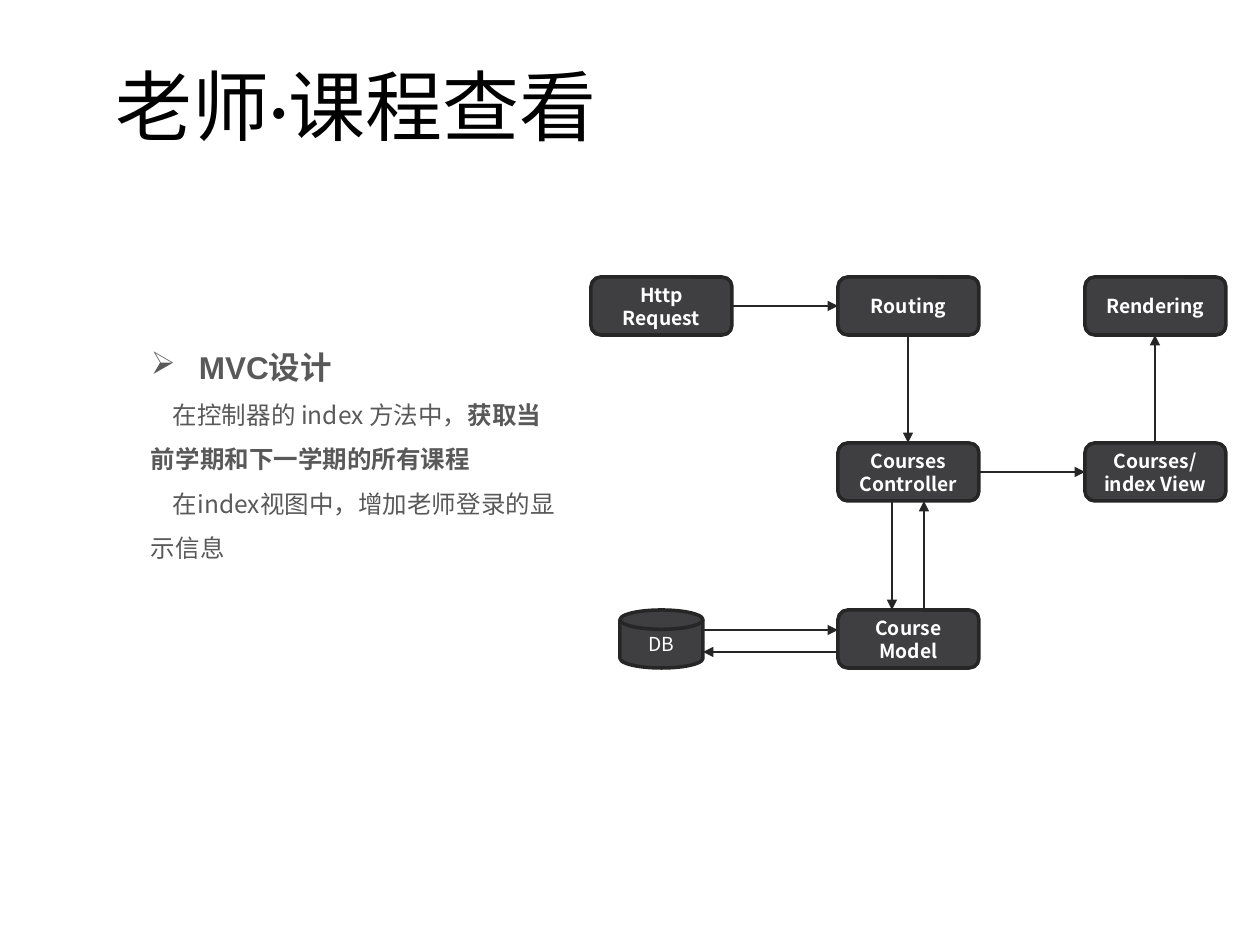
import pptx
import pptx.dml.color
import pptx.enum.shapes
import pptx.enum.text
import pptx.oxml
import pptx.oxml.ns
import pptx.util

SHAPE = pptx.enum.shapes.MSO_SHAPE
ALIGN = pptx.enum.text.PP_ALIGN
ANCHOR = pptx.enum.text.MSO_ANCHOR
CJK = "Noto Sans CJK SC"
NODE_FILL, NODE_LINE, BODY_GREY = "3F3E40", "262626", "595959"


def px(length):
    return pptx.util.Emu(round(length * 914400 / 126))


def colour(value):
    return pptx.dml.color.RGBColor.from_string(value)


def append_xml(parent, xml):
    namespaces = pptx.oxml.ns.nsdecls("a")
    parent.append(pptx.oxml.parse_xml(xml.replace("/>", f" {namespaces}/>", 1)))


def write(paragraph, text, size=11, font=CJK, color="FFFFFF", bold=False, align=None):
    if align is not None:
        paragraph.alignment = align
    run = paragraph.add_run()
    run.text = text
    run.font.size = pptx.util.Pt(size)
    run.font.bold = bold
    run.font.color.rgb = colour(color)
    run.font.name = font
    append_xml(run.font._element, f'<a:ea typeface="{CJK}"/>')


def add_title(slide, left, top, width, height):
    frame = slide.shapes.add_textbox(px(left), px(top), px(width), px(height)).text_frame
    frame.word_wrap = True
    frame.vertical_anchor = ANCHOR.MIDDLE
    write(frame.paragraphs[0], "老师·课程查看", size=44, font="Calibri",
          color="000000", align=ALIGN.CENTER)


def add_design_notes(slide, left, top, width, height):
    frame = slide.shapes.add_textbox(px(left), px(top), px(width), px(height)).text_frame
    frame.word_wrap = True
    frame.margin_left = frame.margin_right = px(9)
    frame.margin_top = frame.margin_bottom = px(5)

    heading = frame.paragraphs[0]
    heading.line_spacing = 1.5
    heading_format = heading._p.get_or_add_pPr()
    heading_format.set("marL", str(px(48)))
    heading_format.set("indent", str(px(-48)))
    append_xml(heading_format, '<a:buChar char="➢"/>')
    write(heading, "MVC设计", size=18, font="Arial", color=BODY_GREY, bold=True)

    details = [
        [("在控制器的 index 方法中，", False), ("获取当前学期和下一学期的所有课程", True)],
        [("在index视图中，增加老师登录的显示信息", False)],
    ]
    for parts in details:
        detail = frame.add_paragraph()
        detail.line_spacing = 1.5
        detail._p.get_or_add_pPr().set("indent", str(px(22)))
        for text, bold in parts:
            write(detail, text, size=14, color=BODY_GREY, bold=bold)


def add_node(shapes, kind, left, top, width, height, lines, bold=True):
    node = shapes.add_shape(kind, px(left), px(top), px(width), px(height))
    node.shadow.inherit = False
    node.fill.solid()
    node.fill.fore_color.rgb = colour(NODE_FILL)
    node.line.color.rgb = colour(NODE_LINE)
    node.line.width = pptx.util.Pt(2)
    frame = node.text_frame
    frame.word_wrap = True
    frame.vertical_anchor = ANCHOR.MIDDLE
    for index, line in enumerate(lines):
        paragraph = frame.add_paragraph() if index else frame.paragraphs[0]
        write(paragraph, line, bold=bold, align=ALIGN.CENTER)


def add_arrow(shapes, x1, y1, x2, y2):
    arrow = shapes.add_connector(pptx.enum.shapes.MSO_CONNECTOR.STRAIGHT,
                                 px(x1), px(y1), px(x2), px(y2))
    arrow.line.color.rgb = colour(NODE_LINE)
    arrow.line.width = pptx.util.Pt(1)
    append_xml(arrow.line._get_or_add_ln(), '<a:tailEnd type="triangle"/>')
    append_xml(arrow._element.spPr, "<a:effectLst/>")


def add_request_flow(slide, left, top, width, height):
    shapes = slide.shapes.add_group_shape().shapes
    node_width, node_height, disk_width = 141, 58, 83
    columns = [left + (width - node_width) * i // 2 for i in range(3)]
    rows = [top + (height - node_height) * i // 2 for i in range(3)]
    nodes = [
        (0, 0, ["Http Request"]),
        (1, 0, ["Routing"]),
        (2, 0, ["Rendering"]),
        (2, 1, ["Courses/index View"]),
        (1, 1, ["Courses", "Controller"]),
        (1, 2, ["Course Model"]),
    ]
    for column, row, lines in nodes:
        add_node(shapes, SHAPE.FLOWCHART_ALTERNATE_PROCESS, columns[column], rows[row],
                 node_width, node_height, lines)
    disk_left = columns[0] + (node_width - disk_width) // 2
    add_node(shapes, SHAPE.FLOWCHART_MAGNETIC_DISK, disk_left, rows[2],
             disk_width, node_height, ["DB"], bold=False)

    rights = [column + node_width for column in columns]
    centres = [column + node_width // 2 for column in columns]
    bottoms = [row + node_height for row in rows]
    middles = [row + node_height // 2 for row in rows]
    disk_right = disk_left + disk_width
    arrows = [
        (rights[0], middles[0], columns[1], middles[0]),
        (centres[1], bottoms[0], centres[1], rows[1]),
        (rights[1], middles[1], columns[2], middles[1]),
        (centres[2], rows[1], centres[2], bottoms[0]),
        (centres[1] - 16, bottoms[1], centres[1] - 16, rows[2]),
        (centres[1] + 16, rows[2], centres[1] + 16, bottoms[1]),
        (columns[1], middles[2] + 13, disk_right, middles[2] + 13),
        (disk_right, middles[2] - 9, columns[1], middles[2] - 9),
    ]
    for ends in arrows:
        add_arrow(shapes, *ends)


def main():
    deck = pptx.Presentation()
    deck.slide_width, deck.slide_height = px(1260), px(945)
    slide = deck.slides.add_slide(deck.slide_layouts[6])
    add_design_notes(slide, 142, 324, 427, 275)
    add_request_flow(slide, 591, 277, 635, 391)
    add_title(slide, 4, 26, 704, 158)
    deck.save("out.pptx")


if __name__ == "__main__":
    main()
